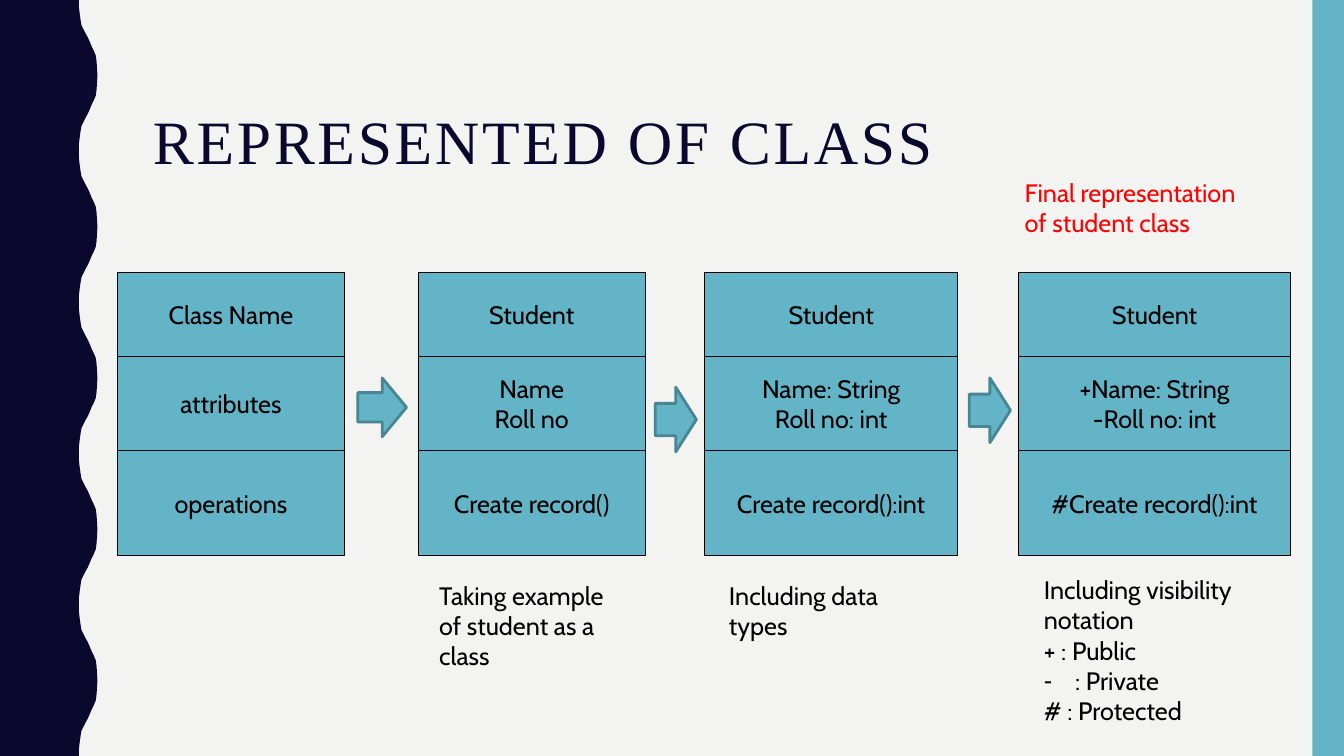
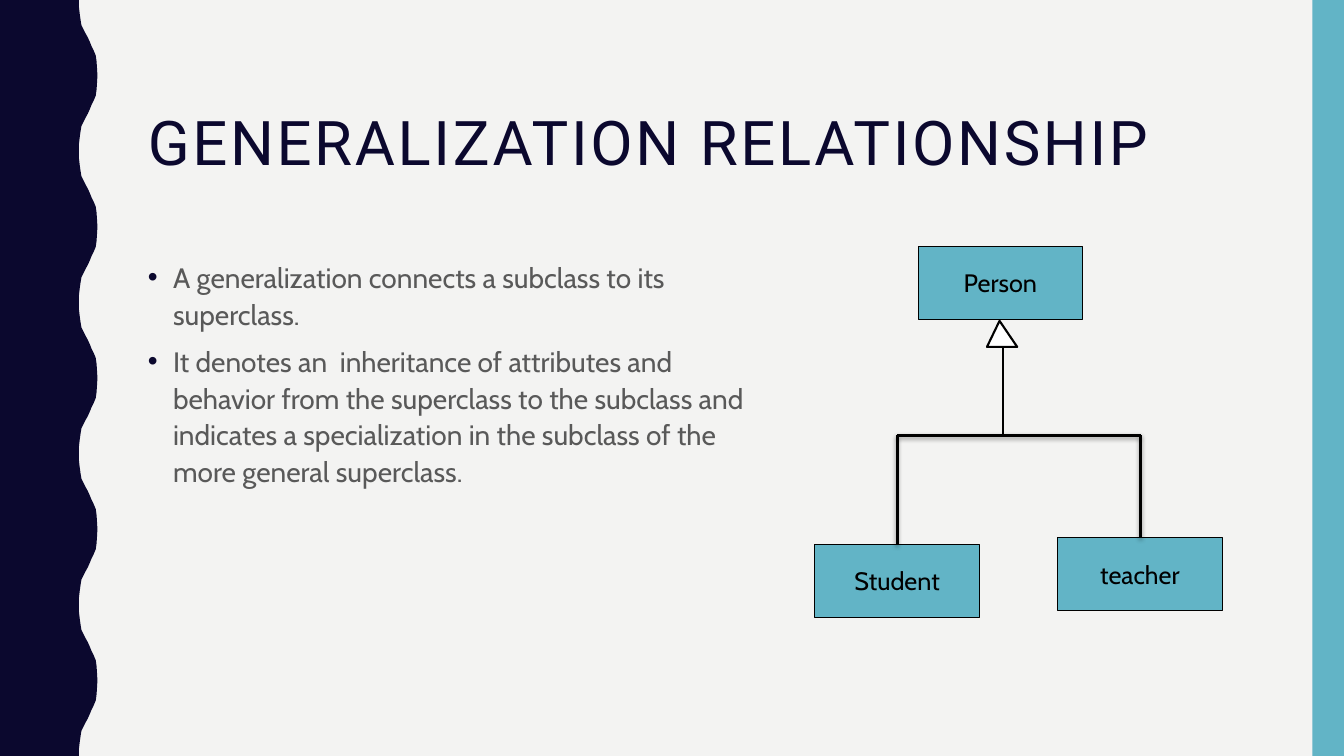
"""Build two slides on UML classes and generalization."""
import pptx
import pptx.dml.color
import pptx.enum.shapes
import pptx.enum.text
import pptx.oxml
import pptx.oxml.ns
import pptx.util
import lxml.etree

COLUMNS, ROWS = 160, 90
UNIT = pptx.util.Inches(7.5) // ROWS
COLOURS = {
    "paper": "F3F3F2", "navy": "0B082E", "teal": "62B4C6", "teal_edge": "498592",
    "ink": "000000", "grey": "595959", "red": "FF0000", "white": "FFFFFF",
}
WAVE_X = [9.4, 9.4, 9.5, 9.6, 9.7, 9.95, 10.2, 10.45, 10.7, 10.9, 11.15, 11.4, 11.5, 11.55, 11.6]
WAVE_Y = [0, 0.85, 1.7, 2.4, 3, 3.5, 4, 4.45, 5, 5.5, 6, 6.6, 7.3, 8.1, 9]
WAVE_LENGTH = 18
CLASS_TOP = 32.4
COMPARTMENT_HEIGHTS = [10, 11.25, 12.5]
CLASSES = [
    (14, 27, ["Class Name", "attributes", "operations"]),
    (49.8, 27, ["Student", "Name\nRoll no", "Create record()"]),
    (83.9, 30.1, ["Student", "Name: String\nRoll no: int", "Create record():int"]),
    (121.25, 32.4, ["Student", "+Name: String\n-Roll no: int", "#Create record():int"]),
]
STEPS = [(42.6, 45, 5.8, 7), (78, 46.1, 4.9, 7.7), (115.4, 45, 4.9, 7.7)]
NOTES = [
    ((51.1, 68.5, 24.4, 15.6), "Taking example of student as a class", "ink"),
    ((85.6, 68.5, 24.4, 8.4), "Including data types", "ink"),
    ((120.8, 20.5, 27.5, 12), "Final representation of student class", "red"),
]
VISIBILITY = "Including visibility notation\n+ : Public\n: Private\n# : Protected"
GENERALIZATION = (
    "A generalization connects a subclass to its superclass.\n"
    "It denotes an  inheritance of attributes and behavior from the superclass to the "
    "subclass and indicates a specialization in the subclass of the more general superclass."
)


def rgb(name):
    """Return a palette colour."""
    return pptx.dml.color.RGBColor.from_string(COLOURS[name])


def grid(*cells):
    """Turn columns and rows into lengths."""
    return [pptx.util.Emu(round(cell * UNIT)) for cell in cells]


def paint(shape, fill, edge=None, weight=0.75):
    """Set fill and outline, and drop the shadow."""
    shape.shadow.inherit = False
    shape.fill.solid()
    shape.fill.fore_color.rgb = rgb(fill)
    if edge:
        shape.line.color.rgb = rgb(edge)
        shape.line.width = pptx.util.Pt(weight)
    else:
        shape.line.fill.background()


def write(shape, text, colour="ink", size=18, font="Cabin", align="LEFT", anchor="TOP", wrap=True):
    """Fill a shape with uniformly formatted text."""
    frame = shape.text_frame
    frame.text = text
    frame.word_wrap = wrap
    frame.auto_size = pptx.enum.text.MSO_AUTO_SIZE.NONE
    frame.vertical_anchor = pptx.enum.text.MSO_ANCHOR[anchor]
    for paragraph in frame.paragraphs:
        paragraph.alignment = pptx.enum.text.PP_ALIGN[align]
        for run in paragraph.runs:
            run.font.name = font
            run.font.size = pptx.util.Pt(size)
            run.font.color.rgb = rgb(colour)


def place(placeholder, area):
    """Move a placeholder to a grid area."""
    placeholder.left, placeholder.top, placeholder.width, placeholder.height = grid(*area)


def add_preset(slide, kind, area, fill, edge=None, weight=0.75):
    """Add a painted preset shape."""
    shape = slide.shapes.add_shape(pptx.enum.shapes.MSO_SHAPE[kind], *grid(*area))
    paint(shape, fill, edge, weight)
    return shape


def add_outline(slide, points, fill, edge=None, weight=0.75):
    """Add a closed freeform through grid points."""
    start, *rest = [(round(x * 100), round(y * 100)) for x, y in points]
    builder = slide.shapes.build_freeform(*start, scale=UNIT / 100)
    builder.add_line_segments(rest, close=True)
    paint(builder.convert_to_shape(), fill, edge, weight)


def add_compartment(slide, area, text):
    """Add a class box with centred text."""
    box = add_preset(slide, "RECTANGLE", area, "teal", "ink")
    write(box, text, align="CENTER", anchor="MIDDLE", wrap=False)


def add_note(slide, area, text, colour="ink"):
    """Add a free caption."""
    note = slide.shapes.add_textbox(*grid(*area))
    write(note, text, colour)
    return note


def add_bullet(paragraph, mark, colour, indent):
    """Give a paragraph element a hanging bullet."""
    properties = paragraph.get_or_add_pPr()
    hang = pptx.util.Inches(indent)
    properties.set("marL", str(hang))
    properties.set("indent", str(-hang))
    qn = pptx.oxml.ns.qn
    tint = lxml.etree.SubElement(properties, qn("a:buClr"))
    lxml.etree.SubElement(tint, qn("a:srgbClr"), val=COLOURS[colour])
    lxml.etree.SubElement(properties, qn("a:buFont"), typeface="Arial")
    lxml.etree.SubElement(properties, qn("a:buChar"), char=mark)


def paragraph_elements(shape):
    """List the paragraph elements of a shape."""
    return list(shape.element.iter(pptx.oxml.ns.qn("a:p")))


def add_link(slide, start, end, weight, shadow=False):
    """Add a straight line, with a soft shadow on request."""
    link = slide.shapes.add_connector(
        pptx.enum.shapes.MSO_CONNECTOR.STRAIGHT, *grid(*start, *end))
    link.line.color.rgb = rgb("ink")
    link.line.width = pptx.util.Pt(weight)
    qn = pptx.oxml.ns.qn
    effects = lxml.etree.SubElement(link.element.spPr, qn("a:effectLst"))
    if shadow:
        cast = lxml.etree.SubElement(
            effects, qn("a:outerShdw"), blurRad="40000", dist="20000", dir="5400000", rotWithShape="0")
        tint = lxml.etree.SubElement(cast, qn("a:srgbClr"), val=COLOURS["ink"])
        lxml.etree.SubElement(tint, qn("a:alpha"), val="38000")


def add_bands(slide):
    """Draw the wavy left band and the right bar."""
    half = list(zip(WAVE_X, WAVE_Y))
    wave = half + [(x, WAVE_LENGTH - y) for x, y in half[-2:0:-1]]
    edge = [(x, y + crest * WAVE_LENGTH)
            for crest in range(ROWS // WAVE_LENGTH) for x, y in wave]
    add_outline(slide, [(0, 0), *edge, (WAVE_X[0], ROWS), (0, ROWS)], "navy")
    add_preset(slide, "RECTANGLE", (156.25, 0, COLUMNS - 156.25, ROWS), "teal")


def start_slide(deck, layout, title, area, font):
    """Add a slide with bands and a styled title."""
    slide = deck.slides.add_slide(deck.slide_layouts.get_by_name(layout))
    add_bands(slide)
    heading = slide.shapes.title
    place(heading, area)
    write(heading, title, "navy", 44, font)
    heading.text_frame.paragraphs[0].line_spacing = 0.9
    for properties in heading.element.iter(pptx.oxml.ns.qn("a:rPr")):
        properties.set("spc", "190")
    return slide


def build_class_slide(deck):
    """Show a class gaining detail in four steps."""
    slide = start_slide(deck, "Title Only", "REPRESENTED OF CLASS",
                        (17, 12.6, 133.6, 10), "Times New Roman")
    for left, width, texts in CLASSES:
        top = CLASS_TOP
        for height, text in zip(COMPARTMENT_HEIGHTS, texts):
            add_compartment(slide, (left, top, width, height), text)
            top += height
    for area in STEPS:
        add_preset(slide, "RIGHT_ARROW", area, "teal", "teal_edge", 2)
    for note in NOTES:
        add_note(slide, *note)
    legend = add_note(slide, (123.1, 67.8, 30.5, 19.2), VISIBILITY)
    add_bullet(paragraph_elements(legend)[2], "-", "ink", 0.31)


def build_generalization_slide(deck):
    """Explain generalization beside a small hierarchy."""
    slide = start_slide(deck, "Title and Content", "GENERALIZATION RELATIONSHIP",
                        (16.4, 12.8, 133.6, 19.6), "Roboto")
    explanation = slide.placeholders[1]
    place(explanation, (16.4, 30, 75.1, 42.1))
    write(explanation, GENERALIZATION, "grey", 20)
    for paragraph in explanation.text_frame.paragraphs:
        paragraph.line_spacing = 1.1
        paragraph.space_before = pptx.util.Pt(7)
    for paragraph in paragraph_elements(explanation):
        add_bullet(paragraph, "•", "navy", 0.25)

    stem, student, teacher = 119.4, 106.8, 135.8
    arrow_base, branch = 41.3, 51.8
    student_top, teacher_top = 64.8, 64
    for left, top, name in [(109.3, 29.3, "Person"), (97, student_top, "Student"),
                            (125.9, teacher_top, "teacher")]:
        add_compartment(slide, (left, top, 19.6, 8.7), name)
    add_link(slide, (stem, arrow_base), (stem, branch), 1.5)
    add_outline(slide, [(119, 38.2), (117.5, arrow_base), (121.1, arrow_base)],
                "white", "ink", 1.5)
    for start, end in [((student, branch), (teacher, branch)),
                       ((student, branch), (student, student_top)),
                       ((teacher, branch), (teacher, teacher_top))]:
        add_link(slide, start, end, 2, shadow=True)


def main():
    """Build and save the deck."""
    deck = pptx.Presentation()
    deck.slide_width, deck.slide_height = grid(COLUMNS, ROWS)
    backdrop = deck.slide_master.background.fill
    backdrop.solid()
    backdrop.fore_color.rgb = rgb("paper")
    build_class_slide(deck)
    build_generalization_slide(deck)
    deck.save("out.pptx")


if __name__ == "__main__":
    main()
